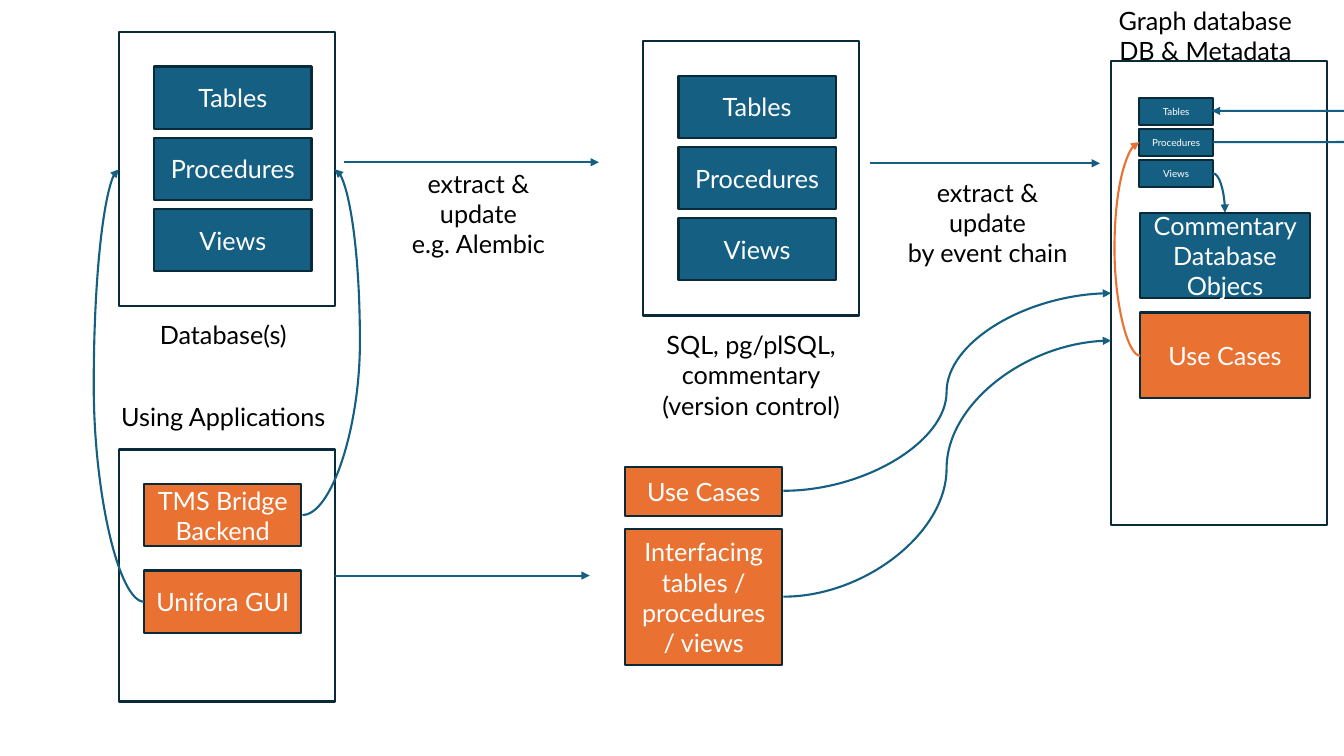
from lxml.etree import SubElement as Sub
from pptx import Presentation
from pptx.dml.color import RGBColor
from pptx.enum.shapes import MSO_CONNECTOR as Conn, MSO_SHAPE as Form
from pptx.enum.text import MSO_ANCHOR as Anchor, MSO_AUTO_SIZE as Auto, PP_ALIGN as Align
from pptx.oxml.ns import qn
from pptx.util import Inches, Pt

BLUE, RUST, EDGE, WHITE, BLACK = "156082", "E97132", "092A39", "FFFFFF", "000000"
FONT = "Lato"
PARTS = ["Tables", "Procedures", "Views"]

# Frames: left, top, width, height
WIDE, TALL = 2.14, 2.72
DATA = (1.18, 0.32, WIDE, TALL)
CODE = (6.38, 0.41, WIDE, TALL)
APPS = (1.18, 4.46, WIDE, 2.5)
GRAPH = (11.02, 0.61, WIDE, 4.6)

# Stacks: lines, fill, left, top, width, height, pitch, text size
CELL = (1.56, 0.62)
STACKS = [
    (PARTS, BLUE, DATA[0] + 0.35, DATA[1] + 0.34, *CELL, 0.705, 18),
    (PARTS, BLUE, CODE[0] + 0.35, CODE[1] + 0.34, *CELL, 0.705, 18),
    (["TMS Bridge Backend", "Unifora GUI"], RUST,
     APPS[0] + 0.25, APPS[1] + 0.34, *CELL, 0.86, 18),
    (PARTS, BLUE, GRAPH[0] + 0.28, GRAPH[1] + 0.36, 0.73, 0.27, 0.31, 7),
]

# Single boxes: paragraphs, fill, place
BOXES = [
    (["Commentary Database", "Objecs"], BLUE, (11.31, 2.11, 1.68, 0.85)),
    (["Use Cases"], RUST, (11.31, 3.1, 1.68, 0.85)),
    (["Use Cases"], RUST, (6.2, 4.63, 1.56, 0.49)),
    (["Interfacing tables / procedures / views"], RUST, (6.2, 5.25, 1.56, 1.35)),
]

# Labels: paragraphs, place, side inset (None leaves lines unwrapped)
LABELS = [
    (["SQL, pg/plSQL, commentary", "(version control)"], (5.8, 3.22, 3.3, 0.71), 0.6),
    (["Database(s)"], (1.45, 3.12, 1.53, 0.4), None),
    (["extract & update", "e.g. Alembic"], (3.75, 1.62, 1.99, 0.71), 0.15),
    (["extract & update", "by event chain"], (8.8, 1.71, 1.99, 0.71), 0.15),
    (["Using Applications"], (1.1, 3.93, 2.23, 0.4), None),
    (["Graph database", "DB & Metadata"], (10.98, 0, 1.95, 0.71), None),
]

# Straight arrows: start, end
ARROWS = [
    ((3.41, 1.61), (5.94, 1.61)),
    ((8.63, 1.62), (10.91, 1.62)),
    ((3.32, 5.71), (5.85, 5.71)),
]

# Curved arrows: start, end, x of the bend (None for a quarter turn), colour
CURVES = [
    ((3, 5.11), (3.32, 1.68), 3.57, BLUE),
    ((1.43, 5.97), (1.18, 1.68), 0.93, BLUE),
    ((12.03, 1.41), (12.02, 1.1), 40, BLUE),
    ((12.03, 1.72), (12.15, 2.11), None, BLUE),
    ((7.77, 4.87), (11.02, 2.91), 9.39, BLUE),
    ((7.77, 5.92), (11.02, 3.38), 9.39, BLUE),
    ((11.31, 3.53), (11.3, 1.41), 11.05, RUST),
]


def tint(code):
    return RGBColor.from_string(code)


def inch(spot):
    return [Inches(v) for v in spot]


def write(frame, lines, size, color):
    for i, line in enumerate(lines):
        para = frame.paragraphs[0] if i == 0 else frame.add_paragraph()
        para.alignment = Align.CENTER
        run = para.add_run()
        run.text = line
        run.font.size, run.font.name = Pt(size), FONT
        run.font.color.rgb = tint(color)


def box(shapes, spot, fill=None, lines=(), size=18):
    rect = shapes.add_shape(Form.RECTANGLE, *inch(spot))
    rect.shadow.inherit = False
    if fill:
        rect.fill.solid()
        rect.fill.fore_color.rgb = tint(fill)
    else:
        rect.fill.background()
    rect.line.color.rgb, rect.line.width = tint(EDGE), Pt(1.5)
    frame = rect.text_frame
    frame.word_wrap, frame.vertical_anchor = True, Anchor.MIDDLE
    write(frame, lines, size, WHITE)


def label(shapes, lines, spot, inset):
    frame = shapes.add_textbox(*inch(spot)).text_frame
    frame.word_wrap = inset is not None
    frame.auto_size = Auto.SHAPE_TO_FIT_TEXT
    if inset:
        frame.margin_left = frame.margin_right = Inches(inset)
    write(frame, lines, 18, BLACK)


def arrow(shapes, kind, start, end, color):
    link = shapes.add_connector(kind, *inch(start + end))
    link.line.color.rgb, link.line.width = tint(color), Pt(1.5)
    Sub(link.line._get_or_add_ln(), qn("a:tailEnd"), type="triangle")
    Sub(link._element.spPr, qn("a:effectLst"))
    return link


def curve(shapes, start, end, bend, color):
    link = arrow(shapes, Conn.CURVE, start, end, color)
    geom = link._element.spPr.find(qn("a:prstGeom"))
    if bend is None:
        geom.set("prst", "curvedConnector2")
        return
    share = round((bend - start[0]) / (end[0] - start[0]) * 100000)
    guides = geom.find(qn("a:avLst"))
    if guides is None:
        guides = Sub(geom, qn("a:avLst"))
    Sub(guides, qn("a:gd"), name="adj1", fmla=f"val {share}")


def main():
    deck = Presentation()
    deck.slide_width, deck.slide_height = Inches(13.33), Inches(7.5)
    shapes = deck.slides.add_slide(deck.slide_layouts[6]).shapes

    # Frames and what they hold
    for spot in (DATA, CODE, APPS, GRAPH):
        box(shapes, spot)
    for names, fill, left, top, wide, high, pitch, size in STACKS:
        for row, name in enumerate(names):
            box(shapes, (left, top + row * pitch, wide, high), fill, [name], size)
    for lines, fill, spot in BOXES:
        box(shapes, spot, fill, lines)

    # Labels and arrows
    for item in LABELS:
        label(shapes, *item)
    for start, end in ARROWS:
        arrow(shapes, Conn.STRAIGHT, start, end, BLUE)
    for item in CURVES:
        curve(shapes, *item)

    deck.save("out.pptx")


if __name__ == "__main__":
    main()
